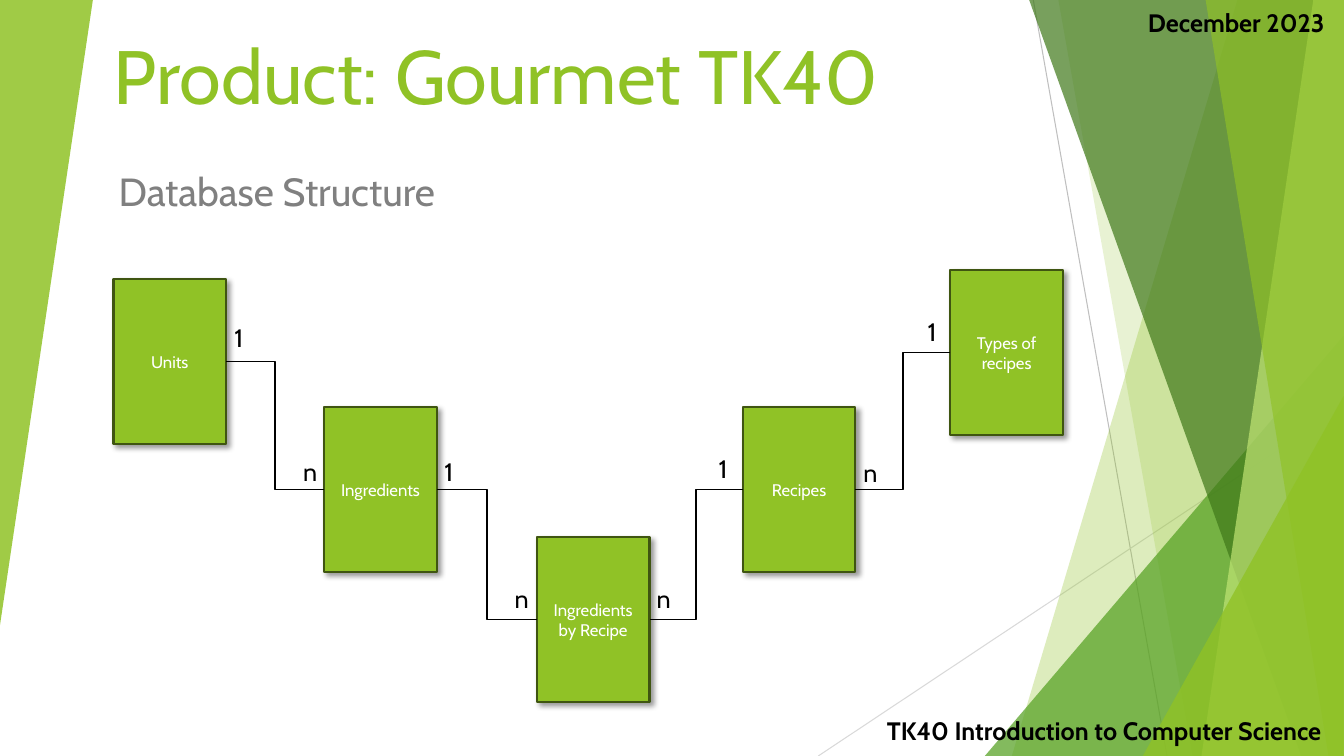
from lxml import etree
from pptx import Presentation
from pptx import util as u
from pptx.dml.color import RGBColor
from pptx.enum import shapes, text
from pptx.oxml.ns import qn

# Content, lengths in cm
WIDTH, HEIGHT = 33.87, 19.05
FONT = "Cabin"
GREEN, BLACK, WHITE = "90C226", "000000", "FFFFFF"

rays = [((26.04, 0), (29.41, HEIGHT), "BFBFBF"),
        ((WIDTH, 10.24), (20.62, HEIGHT), "D9D9D9")]
FACET_TOP = -0.02
# Panels reaching the right edge: x of top left, x of bottom left, colour, opacity.
# Triangles: left, top, width, height, rotation, colour, opacity.
backdrop = [
    (31.19, 25.5, GREEN, 30),
    (26.67, 30.05, GREEN, 20),
    (24.82, 8.46, 9.04, 10.59, 0, "54A021", 72),
    (25.93, 32.79, "3F7819", 70),
    (33.1, 30.28, "C0E474", 70),
    (30.38, 33.48, GREEN, 65),
    (28.8, 9.98, 5.06, 9.07, 0, GREEN, 80),
    (0, 0, 2.34, 15.75, 180, GREEN, 85),
]

headings = [
    ("Product: Gourmet TK40", (2.62, 0.48, 21.56, 2.67),
     dict(size=54, color=GREEN, anchor="BOTTOM")),
    ("Database Structure", (2.74, 2.85, 21.56, 2.67),
     dict(size=28, color="808080", anchor="BOTTOM")),
    ("TK40 Introduction to Computer Science", (20.98, 17.89, 12.57, 1.12),
     dict(bold=True, align="RIGHT", before=10)),
    ("December 2023", (28.12, 0.05, 5.51, 1.12),
     dict(bold=True, align="RIGHT", before=10)),
]

ENTITY_SIZE = (2.84, 4.17)
entities = {
    "Units": (2.86, 7.03),
    "Ingredients": (8.17, 10.25),
    "Recipes": (18.72, 10.25),
    "Ingredients by Recipe": (13.53, 13.53),
    "Types of recipes": (23.95, 6.8),
}
LEFT, RIGHT = 1, 3
relations = [
    ("Units", RIGHT, "Ingredients", LEFT),
    ("Ingredients", RIGHT, "Ingredients by Recipe", LEFT),
    ("Recipes", LEFT, "Ingredients by Recipe", RIGHT),
    ("Types of recipes", LEFT, "Recipes", RIGHT),
]
CARDINALITY_SIZE = (0.86, 1.02)
cardinalities = [
    ("1", 5.66, 8.0), ("n", 7.39, 11.38), ("1", 10.95, 11.38), ("n", 12.72, 14.58),
    ("n", 16.3, 14.58), ("1", 17.86, 11.31), ("n", 21.51, 11.4), ("1", 23.13, 7.85),
]

deck = Presentation()
deck.slide_width, deck.slide_height = u.Cm(WIDTH), u.Cm(HEIGHT)
canvas = deck.slides.add_slide(deck.slide_layouts[6]).shapes


def rgb(value):
    return RGBColor.from_string(value)


def cm(*values):
    return [u.Cm(v) for v in values]


def write(shape, words, size=18, color=BLACK, bold=False, align="LEFT",
          anchor="TOP", before=0, wrap=True):
    frame = shape.text_frame
    frame.word_wrap = wrap
    if not wrap:
        frame.auto_size = text.MSO_AUTO_SIZE.SHAPE_TO_FIT_TEXT
    frame.vertical_anchor = text.MSO_ANCHOR[anchor]
    paragraph = frame.paragraphs[0]
    paragraph.alignment = text.PP_ALIGN[align]
    paragraph.space_before = u.Pt(before)
    run = paragraph.add_run()
    run.text = words
    run.font.name, run.font.size, run.font.bold = FONT, u.Pt(size), bold
    run.font.color.rgb = rgb(color)


def paint(shape, color, opacity=100):
    shape.shadow.inherit = False
    shape.fill.solid()
    shape.fill.fore_color.rgb = rgb(color)
    if opacity < 100:
        tint = shape.element.spPr.find(qn("a:solidFill"))[0]
        etree.SubElement(tint, qn("a:alpha"), val=str(opacity * 1000))


def connect(kind, start, end, color, weight):
    line = canvas.add_connector(shapes.MSO_CONNECTOR[kind], *cm(*start), *cm(*end))
    line.line.color.rgb = rgb(color)
    line.line.width = u.Pt(weight)
    etree.SubElement(line.element.spPr, qn("a:effectLst"))
    return line


def drop_shadow(shape):
    effects = shape.element.spPr.find(qn("a:effectLst"))
    shadow = etree.SubElement(effects, qn("a:outerShdw"), blurRad=str(u.Pt(4)),
                              dist=str(u.Pt(3)), dir=str(45 * 60000),
                              algn="tl", rotWithShape="0")
    shade = etree.SubElement(shadow, qn("a:srgbClr"), val=BLACK)
    etree.SubElement(shade, qn("a:alpha"), val="40000")


# Backdrop
for start, end, color in rays:
    connect("STRAIGHT", start, end, color, 0.75)

for *place, color, opacity in backdrop:
    if len(place) == 2:
        top_x, bottom_x = place
        outline = canvas.build_freeform(*cm(top_x, FACET_TOP), scale=1.0)
        outline.add_line_segments([cm(WIDTH, FACET_TOP), cm(WIDTH, HEIGHT),
                                   cm(bottom_x, HEIGHT)], close=True)
        facet = outline.convert_to_shape()
    else:
        *box, rotation = place
        facet = canvas.add_shape(shapes.MSO_SHAPE.ISOSCELES_TRIANGLE, *cm(*box))
        facet.adjustments[0] = 1
        facet.rotation = rotation
    paint(facet, color, opacity)
    facet.line.fill.background()

# Headings
for words, box, style in headings:
    write(canvas.add_textbox(*cm(*box)), words, **style)

# Entities
tables = {}
for name, corner in entities.items():
    table = canvas.add_shape(shapes.MSO_SHAPE.RECTANGLE, *cm(*corner, *ENTITY_SIZE))
    paint(table, GREEN)
    drop_shadow(table)
    table.line.color.rgb = rgb("3F5511")
    table.line.width = u.Pt(1.5)
    write(table, name, size=12, color=WHITE, align="CENTER", anchor="MIDDLE")
    tables[name] = table

# Relations and their cardinalities
for one, one_side, many, many_side in relations:
    relation = connect("ELBOW", entities[one], entities[many], BLACK, 1)
    relation.begin_connect(tables[one], one_side)
    relation.end_connect(tables[many], many_side)

for mark, left, top in cardinalities:
    write(canvas.add_textbox(*cm(left, top, *CARDINALITY_SIZE)), mark, wrap=False)

deck.save("out.pptx")
